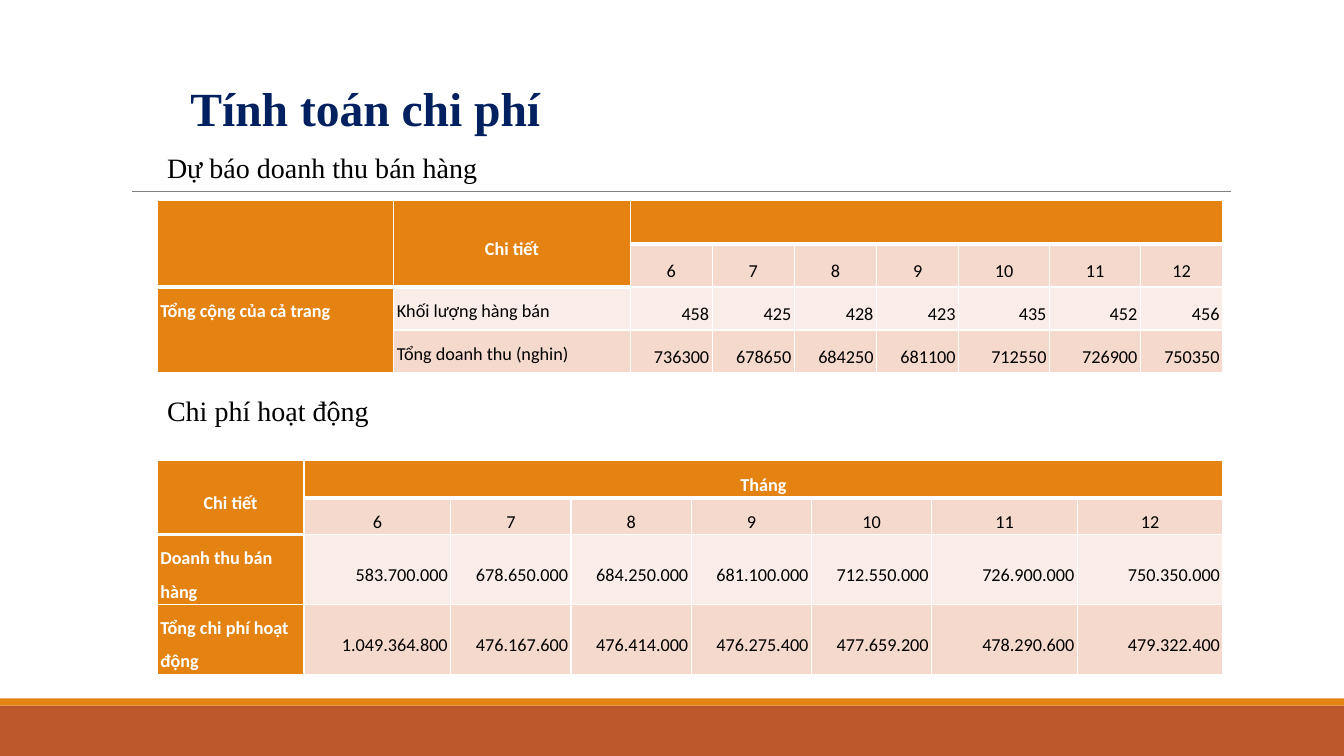
import pptx
import pptx.dml.color
import pptx.enum.shapes
import pptx.enum.text
import pptx.oxml
import pptx.oxml.ns
import pptx.util

Cm = pptx.util.Cm
Pt = pptx.util.Pt
ALIGN = pptx.enum.text.PP_ALIGN
ANCHORS = {
    "t": pptx.enum.text.MSO_ANCHOR.TOP,
    "m": pptx.enum.text.MSO_ANCHOR.MIDDLE,
    "b": pptx.enum.text.MSO_ANCHOR.BOTTOM,
}
SLIDE_WIDTH, SLIDE_HEIGHT = 33.87, 19.05
ORANGE, RUST, WHITE, BLACK, NAVY, GREY = (
    "E48312", "BD582C", "FFFFFF", "000000", "002060", "808080")
BAND_DARK, BAND_LIGHT = "F5D9CC", "FAEDE7"
SERIF, SANS = "Times New Roman", "Calibri"
TABLE_LEFT = 3.96
MONTHS = [str(month) for month in range(6, 13)]


def color(hex_code):
    return pptx.dml.color.RGBColor.from_string(hex_code)


def write(frame, text, size=13, font=SANS, ink=BLACK, bold=False,
          align=ALIGN.LEFT, spacing=None):
    paragraph = frame.paragraphs[0]
    paragraph.alignment = align
    paragraph.line_spacing = spacing
    paragraph.font.size = Pt(size)
    if text:
        run = paragraph.add_run()
        run.text = text
        run.font.size = Pt(size)
        run.font.name = font
        run.font.bold = bold
        run.font.color.rgb = color(ink)


def bar(slide, top, height, fill):
    strip = slide.shapes.add_shape(
        pptx.enum.shapes.MSO_SHAPE.RECTANGLE,
        0, Cm(top), Cm(SLIDE_WIDTH), Cm(height))
    strip.shadow.inherit = False
    strip.fill.solid()
    strip.fill.fore_color.rgb = color(fill)
    strip.line.fill.background()


def backdrop(slide):
    """Footer bars and the rule under the heading."""
    bar(slide, 17.78, SLIDE_HEIGHT - 17.78, RUST)
    bar(slide, 17.6, 0.18, ORANGE)
    rule = slide.shapes.add_connector(
        pptx.enum.shapes.MSO_CONNECTOR.STRAIGHT,
        Cm(3.33), Cm(4.83), Cm(31.01), Cm(4.83))
    rule.line.color.rgb = color(GREY)
    rule.line.width = Pt(0.5)
    rule._element.spPr.append(
        pptx.oxml.parse_xml(f"<a:effectLst {pptx.oxml.ns.nsdecls('a')}/>"))


def heading(slide, box, text, **text_format):
    frame = slide.shapes.add_textbox(*map(Cm, box)).text_frame
    frame.word_wrap = False
    write(frame, text, font=SERIF, **text_format)
    return frame


def add_border(cell, side, points):
    cell._tc.get_or_add_tcPr().append(pptx.oxml.parse_xml(
        f"<a:ln{side} {pptx.oxml.ns.nsdecls('a')} w='{Pt(points)}'>"
        f"<a:solidFill><a:srgbClr val='{WHITE}'/></a:solidFill></a:ln{side}>"))


def style_cell(cell, row, column, text, anchor, label_columns):
    accent = row == 0 or column == 0 or cell.is_spanned
    add_border(cell, "L", 1)
    add_border(cell, "R", 1)
    if row == 0:
        add_border(cell, "T", 1)
    add_border(cell, "B", 3 if accent and row < 2 else 1)
    cell.fill.solid()
    cell.fill.fore_color.rgb = color(
        ORANGE if accent else BAND_LIGHT if row == 2 else BAND_DARK)
    cell.margin_left = cell.margin_right = Cm(0.08)
    cell.margin_top = cell.margin_bottom = Cm(0.05)
    cell.vertical_anchor = ANCHORS[anchor]
    if row < 2:
        align = ALIGN.CENTER
    else:
        align = ALIGN.LEFT if column < label_columns else ALIGN.RIGHT
    write(cell.text_frame, text, ink=WHITE if accent else BLACK,
          bold=accent, align=align, spacing=1.5)


def monthly_table(slide, left, top, widths, heights, rows, merges, anchors,
                  label_columns):
    """Merges are pairs of corner cells; anchors hold one letter per cell."""
    table = slide.shapes.add_table(
        len(heights), len(widths), Cm(left), Cm(top),
        Cm(sum(widths)), Cm(sum(heights))).table
    table.horz_banding = False
    for column, width in zip(table.columns, widths):
        column.width = Cm(width)
    for row, height in zip(table.rows, heights):
        row.height = Cm(height)
    for first, last in merges:
        table.cell(*first).merge(table.cell(*last))
    for r, texts in enumerate(rows):
        for c, text in enumerate(texts):
            style_cell(table.cell(r, c), r, c, text, anchors[r][c],
                       label_columns)


def sales_forecast(slide, left, top):
    heading(slide, (left, top, 8.41, 1.12), "Dự báo doanh thu bán hàng", size=20)
    monthly_table(
        slide, left, top + 1.4,
        widths=[5.96] * 2 + [2.07] * 4 + [2.29] * 2 + [2.07],
        heights=[1.085] * 4,
        rows=[
            ["", "Chi tiết"] + [""] * 7,
            ["", ""] + MONTHS,
            ["Tổng cộng của cả trang", "Khối lượng hàng bán",
             "458", "425", "428", "423", "435", "452", "456"],
            ["", "Tổng doanh thu (nghin)", "736300", "678650", "684250",
             "681100", "712550", "726900", "750350"],
        ],
        merges=[((0, 0), (1, 0)), ((0, 1), (1, 1)), ((0, 2), (0, 8)),
                ((2, 0), (3, 0))],
        anchors=["tmttttttt", "ttmmmmmmm", "ttmmmmmmm", "ttmmmmmmm"],
        label_columns=2)


def operating_costs(slide, left, top):
    heading(slide, (left, top, 5.64, 1.12), "Chi phí hoạt động", size=20)
    monthly_table(
        slide, left, top + 1.83,
        widths=[3.7] * 2 + [3.03] * 4 + [3.67] * 2,
        heights=[0.93] * 2 + [1.76] * 2,
        rows=[
            ["Chi tiết", "Tháng"] + [""] * 6,
            [""] + MONTHS,
            ["Doanh thu bán hàng", "583.700.000", "678.650.000", "684.250.000",
             "681.100.000", "712.550.000", "726.900.000", "750.350.000"],
            ["Tổng chi phí hoạt động", "1.049.364.800", "476.167.600",
             "476.414.000", "476.275.400", "477.659.200", "478.290.600",
             "479.322.400"],
        ],
        merges=[((0, 0), (1, 0)), ((0, 1), (0, 7))],
        anchors=["mttttttt", "tttttttt", "mmmmmmmm", "bmmmmmmm"],
        label_columns=1)


def main():
    deck = pptx.Presentation()
    deck.slide_width, deck.slide_height = Cm(SLIDE_WIDTH), Cm(SLIDE_HEIGHT)
    slide = deck.slides.add_slide(deck.slide_layouts[6])
    backdrop(slide)
    title = heading(slide, (4.55, 1.78, 12.09, 1.88), "Tính toán chi phí",
                    size=34, ink=NAVY, bold=True)
    title.word_wrap = True
    title.vertical_anchor = ANCHORS["m"]
    sales_forecast(slide, TABLE_LEFT, 3.66)
    operating_costs(slide, TABLE_LEFT, 9.78)
    deck.save("out.pptx")


if __name__ == "__main__":
    main()
